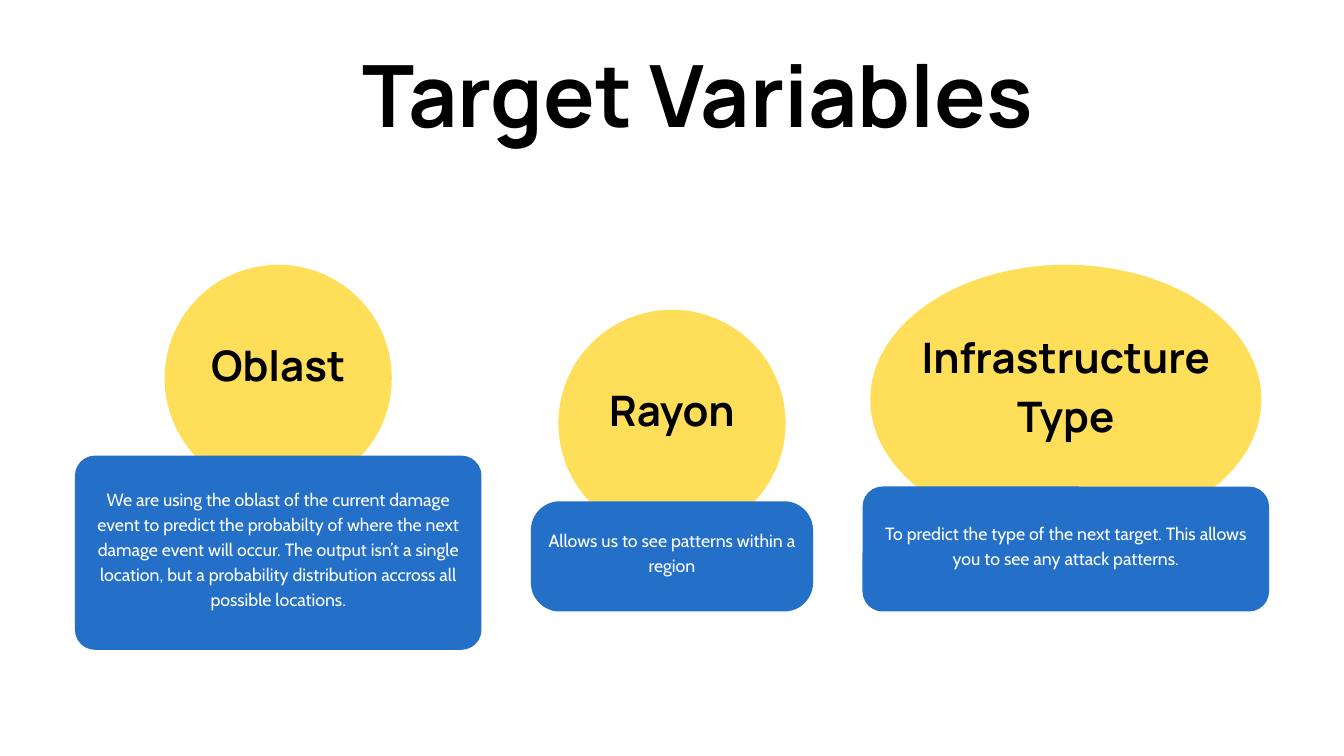
from pptx import Presentation
from pptx.dml.color import RGBColor
from pptx.enum.shapes import MSO_SHAPE
from pptx.enum.text import MSO_ANCHOR, PP_ALIGN
from pptx.util import Inches, Pt

OVAL, ROUNDED = MSO_SHAPE.OVAL, MSO_SHAPE.ROUNDED_RECTANGLE
TOP, MIDDLE = MSO_ANCHOR.TOP, MSO_ANCHOR.MIDDLE
CENTER = PP_ALIGN.CENTER

WIDTH, HEIGHT = 20, 11.25
COLUMN_STEP = 5.86       # distance between column centres
OVAL_INSET = 0.094       # label margin as a share of the oval
LABEL_RISE = 0.52        # extra room above an oval's label
CARD_RISE = 0.15         # extra room above a card's text
YELLOW, BLUE, BLACK, WHITE = "FFDE59", "2470C9", "000000", "FFFFFF"

# label, oval (top, width, height), card (top, width, height, corner), text
VARIABLES = [
    ("Oblast", (3.94, 3.38, 3.38), (6.78, 6.05, 2.89, 0.3),
     "We are using the oblast of the current damage event to predict the "
     "probabilty of where the next damage event will occur. The output isn’t "
     "a single location, but a probability distribution accross all possible "
     "locations."),
    ("Rayon", (4.61, 3.38, 3.38), (7.46, 4.2, 1.64, 0.43),
     "Allows us to see patterns within a region"),
    ("Infrastructure Type", (3.94, 5.82, 4.01), (7.24, 6.05, 1.86, 0.3),
     "To predict the type of the next target. This allows you to see any "
     "attack patterns."),
]


def color(hex_string):
    return RGBColor.from_string(hex_string)


def add_filled_shape(slide, kind, box, fill):
    shape = slide.shapes.add_shape(kind, *map(Inches, box))
    shape.shadow.inherit = False
    shape.fill.solid()
    shape.fill.fore_color.rgb = color(fill)
    shape.line.fill.background()
    return shape


def add_text(slide, box, text, font, size, leading, ink,
             bold=False, margin=0, anchor=MIDDLE):
    frame = slide.shapes.add_textbox(*map(Inches, box)).text_frame
    frame.word_wrap = True
    frame.vertical_anchor = anchor
    frame.margin_left = frame.margin_right = Inches(margin)
    frame.margin_top = frame.margin_bottom = Inches(margin)
    paragraph = frame.paragraphs[0]
    paragraph.text = text
    paragraph.alignment = CENTER
    paragraph.line_spacing = Pt(leading)
    paragraph.font.name = font
    paragraph.font.size = Pt(size)
    paragraph.font.bold = bold
    paragraph.font.color.rgb = color(ink)


def add_oval(slide, center, top, width, height, label):
    left = center - width / 2
    add_filled_shape(slide, OVAL, (left, top, width, height), YELLOW)
    inset_x, inset_y = width * OVAL_INSET, height * OVAL_INSET
    box = (left + inset_x, top + inset_y - LABEL_RISE,
           width - 2 * inset_x, height - 2 * inset_y + LABEL_RISE)
    add_text(slide, box, label, "Manrope", 45, 63, BLACK, bold=True, margin=0.06)


def add_card(slide, center, top, width, height, corner, text):
    left = center - width / 2
    card = add_filled_shape(slide, ROUNDED, (left, top, width, height), BLUE)
    card.adjustments[0] = corner / min(width, height)
    box = (left, top - CARD_RISE, width, height + CARD_RISE)
    add_text(slide, box, text, "Cabin", 19, 26.6, WHITE, margin=0.19)


def main():
    presentation = Presentation()
    presentation.slide_width = Inches(WIDTH)
    presentation.slide_height = Inches(HEIGHT)
    slide = presentation.slides.add_slide(presentation.slide_layouts[6])

    # Title
    add_text(slide, (4.91, 0.36, 10.95, 1.81), "Target Variables",
             "Manrope", 92, 128.8, BLACK, bold=True, anchor=TOP)

    # One column per variable: the card overlaps the oval's foot
    for column, (label, oval, card, text) in enumerate(VARIABLES):
        center = WIDTH / 2 + (column - 1) * COLUMN_STEP
        add_oval(slide, center, *oval, label)
        add_card(slide, center, *card, text)

    presentation.save("out.pptx")


if __name__ == "__main__":
    main()
